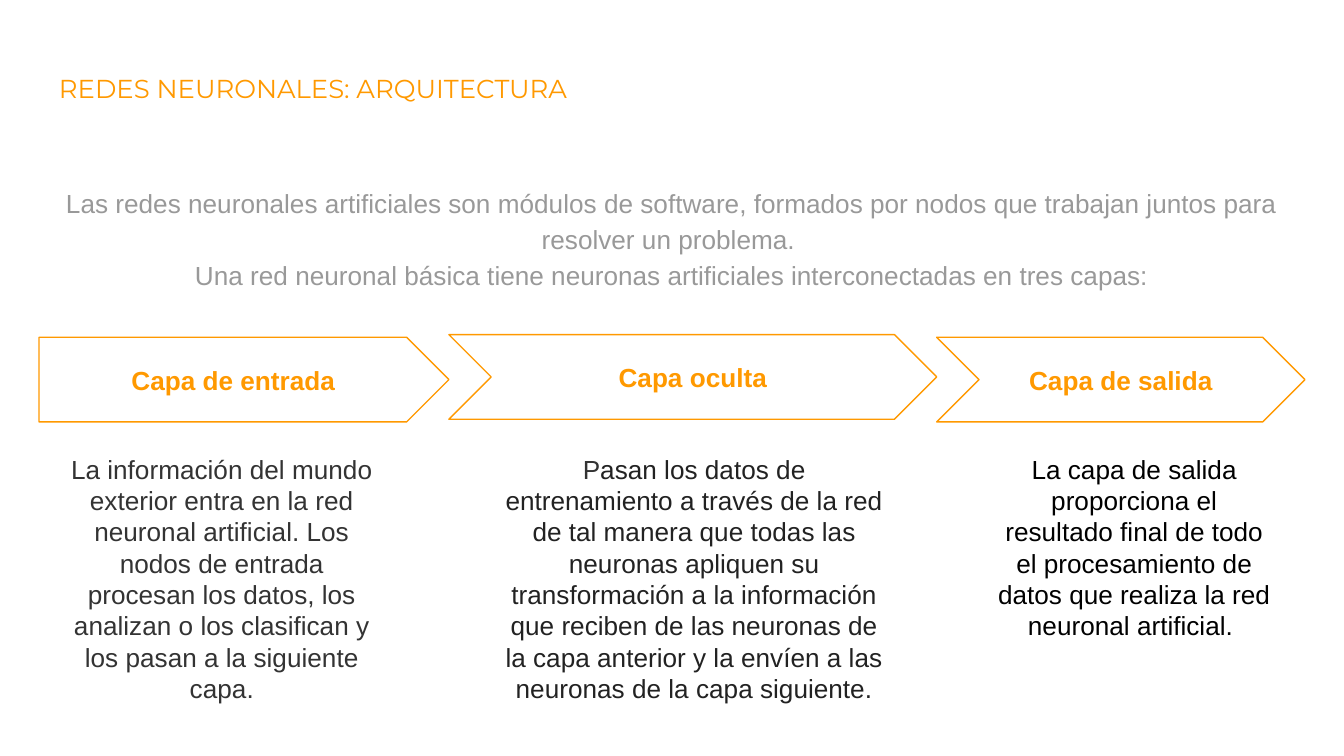
from dataclasses import dataclass

from pptx import Presentation
from pptx.dml.color import RGBColor as Color
from pptx.enum.shapes import MSO_SHAPE as Shape
from pptx.enum.text import MSO_ANCHOR as Anchor, PP_ALIGN as Align
from pptx.util import Inches, Pt


@dataclass(frozen=True)
class Theme:
    accent: str = "FF9900"
    paper: str = "FFFFFF"
    muted: str = "999999"
    dark: str = "333333"
    darker: str = "222222"
    black: str = "000000"
    title_font: str = "Montserrat"
    body_font: str = "Arial"
    title_size: float = 13.9
    body_size: float = 14
    line_width: float = 0.75
    inset: float = 0.1


THEME = Theme()

TITLE = "REDES NEURONALES: ARQUITECTURA"
INTRO = [
    "Las redes neuronales artificiales son módulos de software, formados por nodos "
    "que trabajan juntos para resolver un problema. ",
    "Una red neuronal básica tiene neuronas artificiales interconectadas en tres capas:",
]

# Each layer: label, shape, arrow top, arrow width
ARROWS = [
    ("Capa de entrada", Shape.PENTAGON, 2.51, 3.05),
    ("Capa oculta", Shape.CHEVRON, 2.49, 3.63),
    ("Capa de salida", Shape.CHEVRON, 2.51, 2.74),
]

# Each description: box, then its coloured spans
DESCRIPTIONS = [
    ((0.39, 3.27, 2.52, 2.07), [
        ("La información del mundo exterior entra en la red neuronal artificial. "
         "Los nodos de entrada procesan los datos, los analizan o los clasifican "
         "y los pasan a la siguiente capa.", THEME.dark)]),
    ((3.64, 3.27, 3.05, 2.07), [
        ("P", THEME.dark),
        ("asan los datos de entrenamiento a través de la red de tal manera que todas "
         "las neuronas apliquen su transformación a la información que reciben de las "
         "neuronas de la capa anterior y la envíen a las neuronas de la capa "
         "siguiente.", THEME.darker)]),
    ((7.31, 3.27, 2.26, 1.6), [
        ("La capa de salida proporciona el resultado final de todo el procesamiento "
         "de datos que realiza la red neuronal artificial. ", THEME.black)]),
]


def apply(target, values):
    for name, value in values.items():
        setattr(target, name, value)


def write(shape, paragraphs, anchor=Anchor.TOP, para_format=None, font=None):
    """Fill a shape with paragraphs, each a list of (text, colour) spans."""
    frame = shape.text_frame
    inset = Inches(THEME.inset)
    apply(frame, {"word_wrap": True, "vertical_anchor": anchor,
                  "margin_left": inset, "margin_right": inset,
                  "margin_top": inset, "margin_bottom": inset})
    para_values = {"alignment": Align.CENTER, **(para_format or {})}
    font_values = {"name": THEME.body_font, "size": Pt(THEME.body_size), **(font or {})}
    for index, spans in enumerate(paragraphs):
        para = frame.add_paragraph() if index else frame.paragraphs[0]
        apply(para, para_values)
        for text, colour in spans:
            span = para.add_run()
            span.text = text
            apply(span.font, font_values)
            span.font.color.rgb = Color.from_string(colour)


def add_text(page, box, paragraphs, **formats):
    write(page.shapes.add_textbox(*map(Inches, box)), paragraphs, **formats)


def add_title(page, box):
    add_text(page, box, [[(TITLE, THEME.accent)]],
             para_format={"alignment": Align.LEFT, "line_spacing": 0.8},
             font={"name": THEME.title_font, "size": Pt(THEME.title_size)})


def add_intro(page, box):
    add_text(page, box, [[(text, THEME.muted)] for text in INTRO],
             para_format={"line_spacing": 1.15})


def add_arrows(page, left, height):
    """Chain the layer arrows end to end from the left edge."""
    group = page.shapes.add_group_shape()
    for label, kind, top, width in ARROWS:
        arrow = group.shapes.add_shape(kind, *map(Inches, (left, top, width, height)))
        arrow.adjustments[0] = 0.5
        arrow.shadow.inherit = False
        arrow.fill.solid()
        arrow.fill.fore_color.rgb = Color.from_string(THEME.paper)
        arrow.line.color.rgb = Color.from_string(THEME.accent)
        arrow.line.width = Pt(THEME.line_width)
        write(arrow, [[(label, THEME.accent)]], anchor=Anchor.MIDDLE, font={"bold": True})
        left += width


def add_descriptions(page):
    for box, spans in DESCRIPTIONS:
        add_text(page, box, [spans])


def main():
    deck = Presentation()
    # Widescreen, 16:9
    width = Inches(10)
    apply(deck, {"slide_width": width, "slide_height": width * 9 // 16})
    page = deck.slides.add_slide(deck.slide_layouts[6])
    add_title(page, (0.34, 0.49, 9.32, 0.63))
    add_intro(page, (0.34, 1.26, 9.32, 3.74))
    add_arrows(page, left=0.29, height=0.63)
    add_descriptions(page)
    deck.save("out.pptx")


if __name__ == "__main__":
    main()
